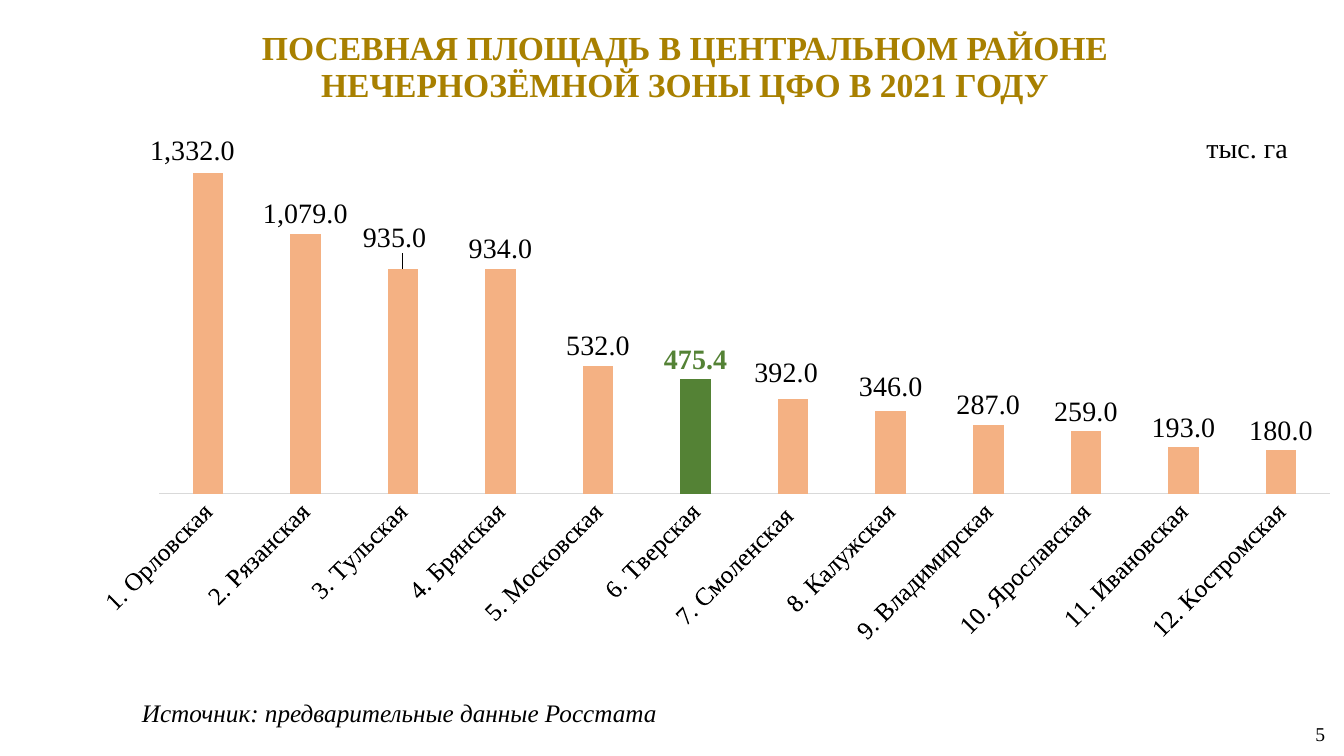
import pptx
import pptx.util
import pptx.chart.data
import pptx.dml.color
import pptx.enum.chart
import pptx.enum.shapes
import pptx.enum.text
import pptx.oxml
import pptx.oxml.ns

Pt = pptx.util.Pt
qn = pptx.oxml.ns.qn
CHART_NS = pptx.oxml.ns.nsdecls("c")
FONT = "Times New Roman"
NUMBER_FORMAT = "#,##0.0"
COLORS = {"gold": "A88000", "black": "000000", "white": "FFFFFF",
          "peach": "F4B183", "green": "548235", "axis": "D9D9D9"}


def rgb(name):
    return pptx.dml.color.RGBColor.from_string(COLORS[name])


def style(font, size, color="black", bold=False, italic=False):
    font.name = FONT
    font.size = Pt(size)
    font.bold = bold
    font.italic = italic
    font.color.rgb = rgb(color)


prs = pptx.Presentation()
prs.slide_width = Pt(960)
prs.slide_height = Pt(540)
slide = prs.slides.add_slide(prs.slide_layouts[6])

sown_area = {
    "1. Орловская": 1332, "2. Рязанская": 1079, "3. Тульская": 935,
    "4. Брянская": 934, "5. Московская": 532, "6. Тверская": 475.4,
    "7. Смоленская ": 392, "8. Калужская": 346, "9. Владимирская": 287,
    "10. Ярославская": 259, "11. Ивановская": 193, "12. Костромская": 180,
}
chart_data = pptx.chart.data.CategoryChartData(number_format=NUMBER_FORMAT)
chart_data.categories = list(sown_area)
chart_data.add_series("Series 1", list(sown_area.values()))
chart_width, chart_height = 879, 430.5
chart = slide.shapes.add_chart(
    pptx.enum.chart.XL_CHART_TYPE.COLUMN_CLUSTERED,
    Pt(71.3), Pt(85), Pt(chart_width), Pt(chart_height), chart_data).chart
chart.has_legend = False
chart.has_title = False
style(chart.font, 16)

regions = chart.category_axis
regions.major_tick_mark = pptx.enum.chart.XL_TICK_MARK.NONE
regions.format.line.color.rgb = rgb("axis")
regions.format.line.width = Pt(0.75)
style(regions.tick_labels.font, 18)
regions._element.find(qn("c:txPr")).find(qn("a:bodyPr")).set("rot", "-2700000")

hectares = chart.value_axis
hectares.visible = False
hectares.has_major_gridlines = False
hectares.minimum_scale = 0
hectares.maximum_scale = 1500
hectares.major_unit = 500

chart._chartSpace.chart.plotArea.insert(0, pptx.oxml.parse_xml(
    f'<c:layout {CHART_NS}><c:manualLayout><c:layoutTarget val="inner"/>'
    '<c:xMode val="edge"/><c:yMode val="edge"/><c:x val="0.047"/><c:y val="0.023"/>'
    '<c:w val="0.953"/><c:h val="0.599"/></c:manualLayout></c:layout>'))
for extra_layout in chart._chartSpace.chart.plotArea.findall(qn("c:layout"))[1:]:
    chart._chartSpace.chart.plotArea.remove(extra_layout)

columns = chart.plots[0]
columns.gap_width = 219
columns.vary_by_categories = False
areas = columns.series[0]
areas.format.fill.solid()
areas.format.fill.fore_color.rgb = rgb("peach")
outside_end = pptx.enum.chart.XL_LABEL_POSITION.OUTSIDE_END
area_labels = areas.data_labels
area_labels.show_value = True
area_labels.number_format = NUMBER_FORMAT
area_labels.number_format_is_linked = False
area_labels.position = outside_end
style(area_labels.font, 20)

tver = 5
areas.points[tver].format.fill.solid()
areas.points[tver].format.fill.fore_color.rgb = rgb("green")

label_shifts = {0: (-11, -1.5), 2: (-6, -8), tver: (0, 0), 6: (-5, -5), 7: (0, -3)}
for index in label_shifts:
    label = areas.points[index].data_label
    label.position = outside_end
    is_tver = index == tver
    style(label.font, 20, "green" if is_tver else "black", bold=is_tver)
for label_xml in area_labels._element.findall(qn("c:dLbl")):
    dx, dy = label_shifts[int(label_xml.find(qn("c:idx")).get("val"))]
    label_xml.insert(1, pptx.oxml.parse_xml(
        f'<c:layout {CHART_NS}><c:manualLayout><c:x val="{dx / chart_width:.4f}"/>'
        f'<c:y val="{dy / chart_height:.4f}"/></c:manualLayout></c:layout>'))
    label_xml.insert(2, pptx.oxml.parse_xml(
        f'<c:numFmt {CHART_NS} formatCode="{NUMBER_FORMAT}" sourceLinked="0"/>'))

title = slide.shapes.add_textbox(Pt(57), Pt(14.4), Pt(864.7), Pt(68.4)).text_frame
title.word_wrap = True
title.vertical_anchor = pptx.enum.text.MSO_ANCHOR.MIDDLE
title.text = "ПОСЕВНАЯ ПЛОЩАДЬ В ЦЕНТРАЛЬНОМ РАЙОНЕ\nНЕЧЕРНОЗЁМНОЙ ЗОНЫ ЦФО В 2021 ГОДУ"
for line in title.paragraphs:
    line.alignment = pptx.enum.text.PP_ALIGN.CENTER
    line.line_spacing = 0.9
    style(line.font, 24, "gold", bold=True)

unit = slide.shapes.add_shape(pptx.enum.shapes.MSO_SHAPE.RECTANGLE,
                              Pt(854.6), Pt(89.3), Pt(98), Pt(31.5))
unit.shadow.inherit = False
unit.fill.solid()
unit.fill.fore_color.rgb = rgb("white")
unit.line.fill.background()
unit.text_frame.text = "тыс. га"
unit.text_frame.paragraphs[0].alignment = pptx.enum.text.PP_ALIGN.LEFT
style(unit.text_frame.paragraphs[0].font, 20)

for text, left, top, width, height, size, italic in [
    ("5", 932.4, 512, 36.7, 24.5, 14, False),
    ("Источник: предварительные данные Росстата", 94.3, 494.6, 465, 51, 18, True),
]:
    footer = slide.shapes.add_textbox(Pt(left), Pt(top), Pt(width), Pt(height)).text_frame
    footer.word_wrap = True
    footer.text = text
    style(footer.paragraphs[0].font, size, italic=italic)

prs.save("out.pptx")
